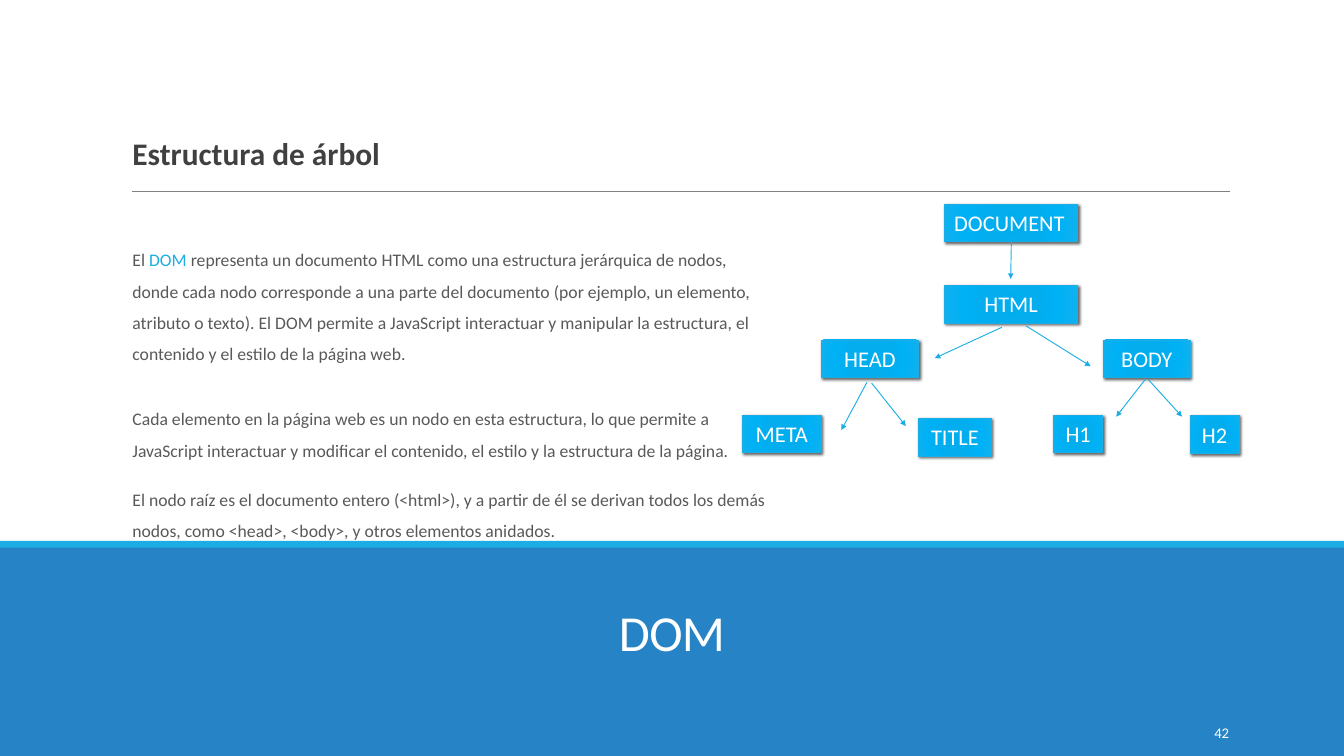
from pptx import Presentation
from pptx.dml.color import RGBColor
from pptx.enum.shapes import MSO_CONNECTOR as Connector, MSO_SHAPE as Shape
from pptx.enum.text import MSO_ANCHOR as Anchor, MSO_AUTO_SIZE as AutoSize, PP_ALIGN as Align
from pptx.oxml import parse_xml
from pptx.oxml.ns import nsdecls, qn
from pptx.util import Inches, Pt
from lxml import etree

FONT = "Calibri"
BLUE, CYAN, WHITE = "2683C6", "1CADE4", "FFFFFF"
DARK, GREY, RULE = "404040", "595959", "808080"
NODE_STOPS = [(0, "00ADEF"), (34, "03ADEE"), (70, "00B1F5"), (100, "12B1EE")]
NODE_HEIGHT = 0.56

INTRO = [
    ("El ", GREY),
    ("DOM ", CYAN),
    ("representa un documento HTML como una estructura jerárquica de nodos, "
     "donde cada nodo corresponde a una parte del documento (por ejemplo, un "
     "elemento, atributo o texto). El DOM permite a JavaScript interactuar y "
     "manipular la estructura, el contenido y el estilo de la página web.", GREY),
]
ELEMENTS = [
    ("Cada elemento en la página web es un nodo en esta estructura, lo que "
     "permite a JavaScript interactuar y modificar el contenido, el estilo y "
     "la estructura de la página.", GREY),
]
ROOT = [
    ("El nodo raíz es el documento entero (<html>), y a partir de él se derivan "
     "todos los demás nodos, como <head>, <body>, y otros elementos anidados.", GREY),
]

# Tree nodes (label, left, top, width) and arrows (from, to), from the tree's corner
NODES = [
    ("DOCUMENT", 3, 0, 1.99),
    ("HTML", 3, 1.21, 1.99),
    ("HEAD", 1.17, 2.02, 1.45),
    ("BODY", 5.37, 2.02, 1.29),
    ("META", 0, 3.14, 1.17),
    ("TITLE", 2.62, 3.19, 1.08),
    ("H1", 4.63, 3.14, 0.73),
    ("H2", 6.66, 3.15, 0.73),
]
ARROWS = [
    ((4, 0.56), (3.99, 1.11)),
    ((3.86, 1.83), (2.86, 2.29)),
    ((4.22, 1.81), (5.18, 2.41)),
    ((1.85, 2.65), (1.47, 3.36)),
    ((1.92, 2.66), (2.43, 3.3)),
    ((5.99, 2.61), (5.56, 3.16)),
    ((6.04, 2.61), (6.54, 3.16)),
]


def color(value):
    return RGBColor.from_string(value)


def add_span(para, text, size, value, bold=False):
    span = para.add_run()
    span.text = text
    span.font.name = FONT
    span.font.size = Pt(size)
    span.font.bold = bold
    span.font.color.rgb = color(value)
    return span


def add_box(page, left, top, width, height, anchor=Anchor.TOP):
    box = page.shapes.add_textbox(Inches(left), Inches(top), Inches(width), Inches(height))
    box.text_frame.word_wrap = True
    box.text_frame.vertical_anchor = anchor
    return box.text_frame


def add_band(page, left, top, width, height, value):
    band = page.shapes.add_shape(
        Shape.RECTANGLE, Inches(left), Inches(top), Inches(width), Inches(height))
    band.shadow.inherit = False
    band.fill.solid()
    band.fill.fore_color.rgb = color(value)
    band.line.fill.background()


def add_line(page, start, end, value, width, arrow=False):
    line = page.shapes.add_connector(
        Connector.STRAIGHT, *(Inches(length) for length in (*start, *end)))
    line.line.color.rgb = color(value)
    line.line.width = Pt(width)
    properties = line._element.spPr
    if arrow:
        etree.SubElement(properties.find(qn("a:ln")), qn("a:tailEnd"), type="triangle")
    etree.SubElement(properties, qn("a:effectLst"))


def add_node(page, label, left, top, width):
    node = page.shapes.add_shape(
        Shape.RECTANGLE, Inches(left), Inches(top), Inches(width), Inches(NODE_HEIGHT))
    node.line.color.rgb = color(CYAN)
    node.line.width = Pt(1)

    # Radial gradient
    node.fill.background()
    properties = node._element.spPr
    stops = "".join(
        f'<a:gs pos="{place * 1000}"><a:srgbClr val="{value}"/></a:gs>'
        for place, value in NODE_STOPS)
    gradient = parse_xml(
        f'<a:gradFill {nsdecls("a")}><a:gsLst>{stops}</a:gsLst><a:path path="circle">'
        '<a:fillToRect l="100000" t="100000" r="100000" b="100000"/></a:path></a:gradFill>')
    properties.replace(properties.find(qn("a:noFill")), gradient)

    # Drop shadow
    node.shadow.inherit = False
    properties.find(qn("a:effectLst")).append(parse_xml(
        f'<a:outerShdw {nsdecls("a")} blurRad="{Pt(3)}" dist="{Pt(2)}" dir="2700000">'
        '<a:srgbClr val="000000"><a:alpha val="60000"/></a:srgbClr></a:outerShdw>'))

    frame = node.text_frame
    frame.word_wrap = True
    frame.auto_size = AutoSize.SHAPE_TO_FIT_TEXT
    frame.vertical_anchor = Anchor.TOP
    frame.margin_left = frame.margin_right = Inches(0.15)
    frame.margin_top = frame.margin_bottom = Inches(0.07)
    para = frame.paragraphs[0]
    para.alignment = Align.LEFT if label == "DOCUMENT" else Align.CENTER
    add_span(para, label, 24, WHITE)


def add_footer(page, left, top, width, height):
    # Bands
    add_band(page, left, top + 0.07, width, height - 0.07, BLUE)
    add_band(page, left, top, width, 0.1, CYAN)

    # Title
    frame = add_box(page, left + 1.75, top + 0.57, width - 3.5, 1.69, Anchor.MIDDLE)
    para = frame.paragraphs[0]
    para.alignment = Align.CENTER
    para.line_spacing = 0.85
    span = add_span(para, "DOM", 54, WHITE)
    span.font._element.set("spc", "-80")

    # Page number
    frame = add_box(page, left + 16.24, top + 2.55, 2.15, 0.6, Anchor.MIDDLE)
    para = frame.paragraphs[0]
    para.alignment = Align.RIGHT
    add_span(para, "42", 15.8, WHITE)


def add_explanation(page, left, top, width, height):
    frame = add_box(page, left, top, width, height)
    frame.margin_left = frame.margin_right = 0
    frame.margin_top, frame.margin_bottom = Inches(0.79), Inches(0.07)
    heading = frame.paragraphs[0]
    heading.line_spacing = 1.3
    heading.space_after = Pt(3)
    add_span(heading, "Estructura de árbol", 33.6, DARK, bold=True)
    for spans, space in [(INTRO, 69), (ELEMENTS, 36), (ROOT, 19)]:
        para = frame.add_paragraph()
        para.line_spacing = 1.48
        para.space_before = Pt(space)
        for text, value in spans:
            add_span(para, text, 18.9, value)


def add_tree(page, left, top):
    for label, x, y, width in NODES:
        add_node(page, label, left + x, top + y, width)
    for start, end in ARROWS:
        start, end = ((left + x, top + y) for x, y in (start, end))
        add_line(page, start, end, CYAN, 1, arrow=True)


def main():
    deck = Presentation()
    deck.slide_width, deck.slide_height = Inches(20), Inches(11.25)
    page = deck.slides.add_slide(deck.slide_layouts[6])
    add_line(page, (1.96, 2.85), (18.31, 2.85), RULE, 0.5)
    add_footer(page, 0, 8.05, 20, 3.2)
    add_explanation(page, 1.97, 1.04, 9.49, 7.1)
    add_tree(page, 11.05, 3.04)
    deck.save("out.pptx")


if __name__ == "__main__":
    main()
